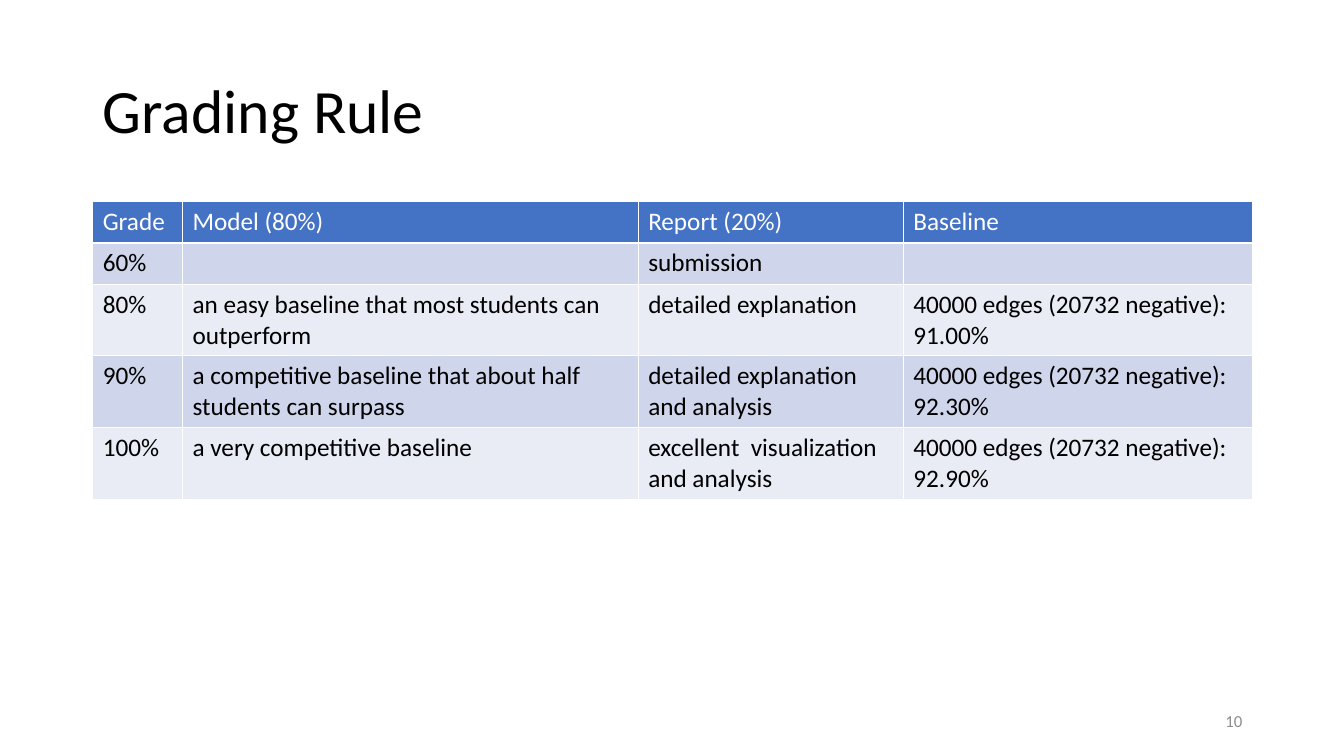
from pptx import Presentation
from pptx.dml.color import RGBColor
from pptx.enum.text import MSO_ANCHOR, PP_ALIGN
from pptx.util import Inches, Pt

LEFT, RIGHT = PP_ALIGN.LEFT, PP_ALIGN.RIGHT
MIDDLE = MSO_ANCHOR.MIDDLE

HUES = {
    "text": "000000",
    "head": "4472C4",
    "light": "FFFFFF",
    "odd": "CFD5EA",
    "even": "E9EBF5",
    "page": "8C8C8C",
}
FONT = {"name": "Calibri", "bold": False}
WIDTHS = [0.89, 4.52, 2.63, 3.46]
ROW = 0.41
GRADES = [
    ["Grade", "Model (80%)", "Report (20%)", "Baseline"],
    ["60%", "", "submission", ""],
    ["80%", "an easy baseline that most students can outperform",
     "detailed explanation", "40000 edges (20732 negative): 91.00%"],
    ["90%", "a competitive baseline that about half students can surpass",
     "detailed explanation and analysis",
     "40000 edges (20732 negative):\n92.30%"],
    ["100%", "a very competitive baseline",
     "excellent  visualization and analysis",
     "40000 edges (20732 negative): 92.90%"],
]


def write(frame, text, size, hue, **form):
    """Fill a text frame and format each of its paragraphs."""
    frame.text = text
    for para in frame.paragraphs:
        for key, value in form.items():
            setattr(para, key, value)
        for key, value in {**FONT, "size": Pt(size)}.items():
            setattr(para.font, key, value)
        para.font.color.rgb = RGBColor.from_string(HUES[hue])


def place(shape, box):
    """Move a shape to a box given in inches."""
    for key, value in zip(("left", "top", "width", "height"), box):
        setattr(shape, key, Inches(value))


def add_title(slide, box, text):
    """Set the slide title in its placeholder."""
    title = slide.shapes.title
    place(title, box)
    title.text_frame.vertical_anchor = MIDDLE
    write(title.text_frame, text, 44, "text", alignment=LEFT, line_spacing=0.9)


def add_grades(slide, box, rows):
    """Add the grading table with a header and banded rows."""
    frame = slide.shapes.add_table(len(rows), len(WIDTHS), *map(Inches, box))
    table = frame.table
    for col, width in zip(table.columns, WIDTHS):
        col.width = Inches(width)
    for i, texts in enumerate(rows):
        table.rows[i].height = Inches(ROW)
        fill = "head" if i == 0 else "odd" if i % 2 else "even"
        hue = "light" if i == 0 else "text"
        for j, text in enumerate(texts):
            cell = table.cell(i, j)
            cell.fill.solid()
            cell.fill.fore_color.rgb = RGBColor.from_string(HUES[fill])
            write(cell.text_frame, text, 18, hue)


def add_page(slide, box, text):
    """Add the page number at the right of its box."""
    frame = slide.shapes.add_textbox(*map(Inches, box)).text_frame
    frame.word_wrap = True
    frame.vertical_anchor = MIDDLE
    write(frame, text, 12, "page", alignment=RIGHT)


def main():
    """Build the grading slide and save it."""
    deck = Presentation()
    deck.slide_width, deck.slide_height = Inches(13.33), Inches(7.5)
    slide = deck.slides.add_slide(deck.slide_layouts[5])
    add_title(slide, (0.92, 0.4, 11.5, 1.45), "Grading Rule")
    add_grades(slide, (0.92, 2, sum(WIDTHS), ROW * len(GRADES)), GRADES)
    add_page(slide, (9.42, 6.95, 3, 0.4), "10")
    deck.save("out.pptx")


if __name__ == "__main__":
    main()
